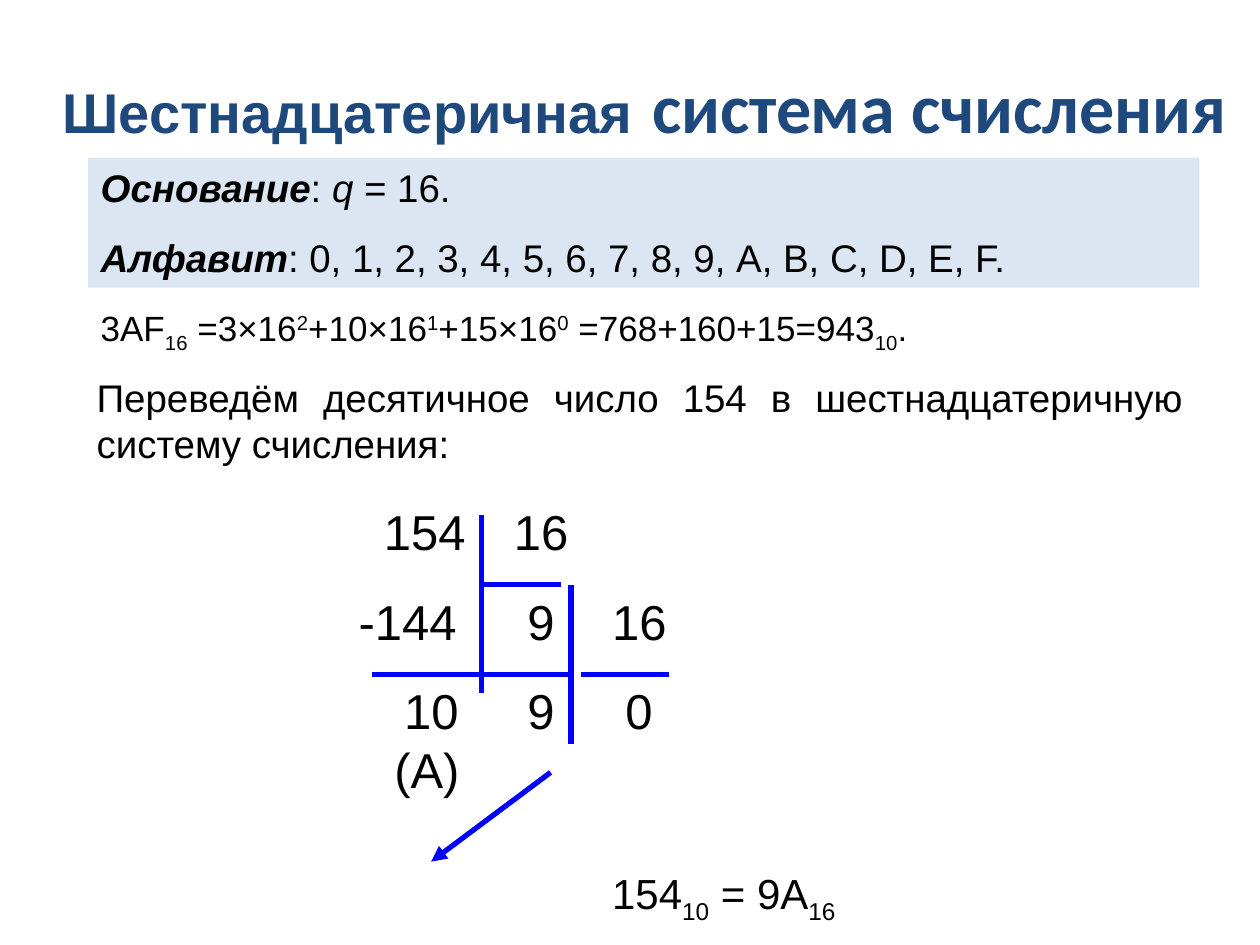
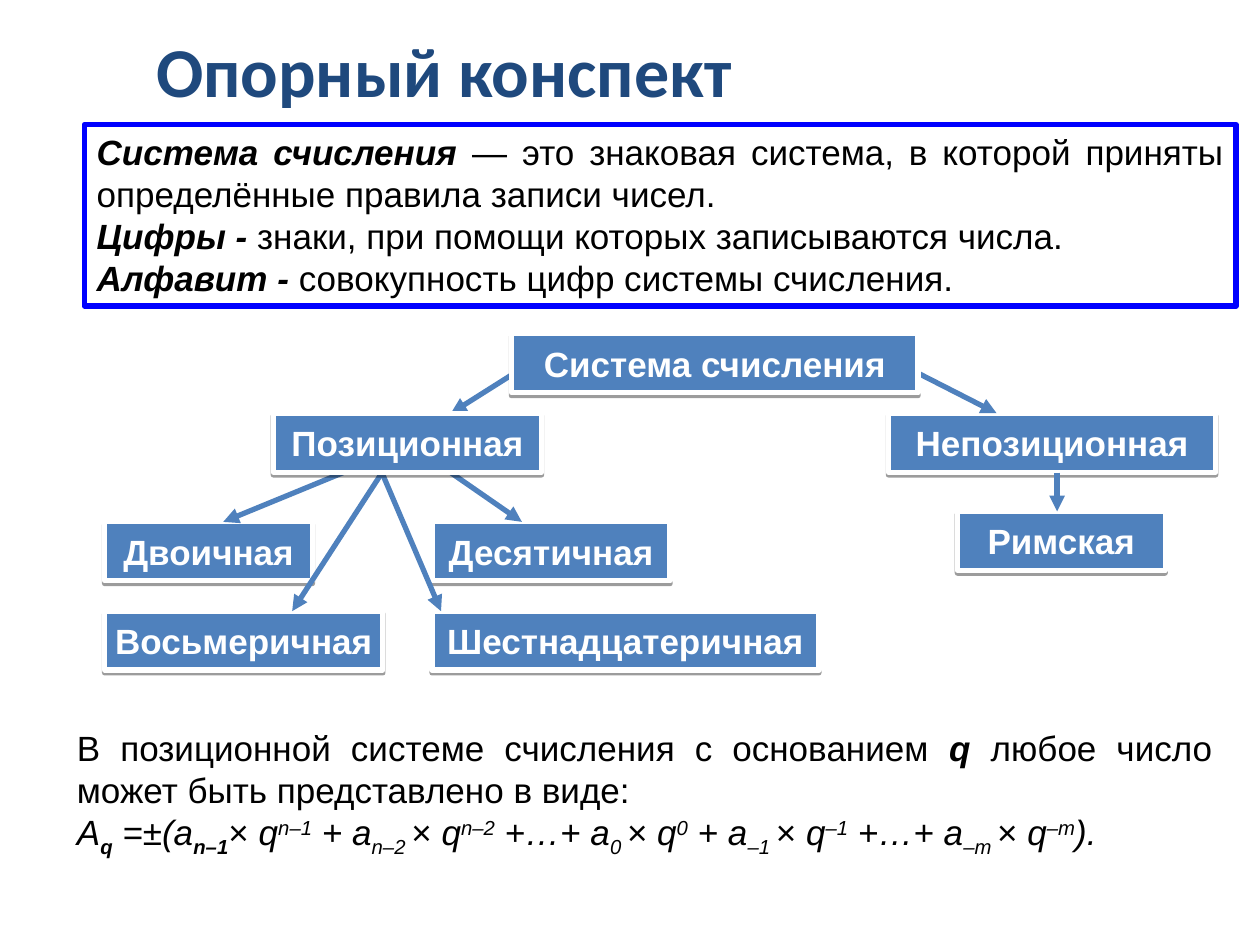
import dataclasses
from typing import Any, NamedTuple, Optional, Sequence

import pptx
import pptx.dml.color
import pptx.enum.dml
import pptx.enum.shapes
import pptx.enum.text
import pptx.oxml
import pptx.oxml.ns
import pptx.util

Cm = pptx.util.Cm
Pt = pptx.util.Pt
ALIGN = pptx.enum.text.PP_ALIGN
ANCHOR = pptx.enum.text.MSO_ANCHOR

COLORS = {
    "title": "1F497D",
    "text": "000000",
    "white": "FFFFFF",
    "panel": "DCE6F2",
    "node": "4F81BD",
    "rule": "0000FF",
    "shadow": "000000",
}
LINE_WIDTH = Pt(3)
NODE_HEIGHT = 1.19
BASELINES = {"_": "-25000", "^": "30000"}
DRAWING_NS = pptx.oxml.ns.nsdecls("a")


class Frame(NamedTuple):
    """Left, top, width and height in centimetres."""
    left: float
    top: float
    width: float
    height: float


class Run(NamedTuple):
    """Text with marks: b bold, i italic, _ subscript, ^ superscript."""
    text: str
    marks: str = ""
    size: Optional[float] = None
    font: Optional[str] = None


class Paragraph(NamedTuple):
    runs: Sequence[Run]
    align: Any = ALIGN.LEFT
    space_before: float = 0


@dataclasses.dataclass(frozen=True)
class TextStyle:
    size: float
    color: str = "text"
    font: str = "Arial"
    bold: bool = False
    anchor: Any = ANCHOR.TOP
    wrap: bool = True


@dataclasses.dataclass(frozen=True)
class Line:
    """Straight line in centimetres; an arrow points to its end."""
    start: tuple[float, float]
    end: tuple[float, float]
    color: str = "rule"
    arrow: bool = False


@dataclasses.dataclass(frozen=True)
class Node:
    text: str
    left: float
    top: float
    width: float


TITLE = TextStyle(40, "title", "Calibri", bold=True, anchor=ANCHOR.MIDDLE)
BODY = TextStyle(22)
SMALL_BODY = TextStyle(20)
DIGITS = TextStyle(28)
RESULT = TextStyle(24)
NODE = TextStyle(20, "white", bold=True, anchor=ANCHOR.MIDDLE, wrap=False)

# Long division: row tops, column lefts and the numbers in each row
ROWS = (9.98, 11.79, 13.59, 14.78)
DIVISION = (
    (("154", 7.49), ("16", 10.11)),
    (("-144", 6.98), ("9", 10.38), ("16", 12.09)),
    (("10", 7.9), ("9", 10.38), ("0", 12.36)),
    (("(А)", 7.7),),
)
DIVISION_LINES = (
    Line((9.7, 11.79), (11.3, 11.79)),
    Line((7.49, 13.59), (11.51, 13.59)),
    Line((11.71, 13.59), (13.49, 13.59)),
    Line((9.7, 10.39), (9.7, 13.97)),
    Line((11.51, 11.79), (11.51, 14.99)),
    Line((11.1, 15.57), (8.69, 17.37), arrow=True),
)


def branch(start: tuple[float, float], end: tuple[float, float]) -> Line:
    return Line(start, end, "node", arrow=True)


# Classification scheme, from back to front
SCHEME = (
    Node("Непозиционная", 17.91, 8.33, 6.6),
    branch((10.69, 7.32), (9.09, 8.33)),
    branch((18.11, 7.32), (20.09, 8.33)),
    Node("Система счисления", 10.31, 6.73, 8.2),
    Node("Двоичная", 2.11, 10.52, 4.19),
    Node("Десятичная", 8.71, 10.52, 4.8),
    Node("Восьмеричная", 2.11, 12.32, 5.61),
    Node("Шестнадцатеричная", 8.71, 12.32, 7.8),
    Node("Римская", 19.3, 10.31, 4.19),
    branch((6.91, 9.53), (4.5, 10.52)),
    branch((9.09, 9.53), (10.52, 10.52)),
    branch((7.7, 9.53), (5.89, 12.32)),
    branch((7.7, 9.53), (8.89, 12.32)),
    Node("Позиционная", 5.51, 8.33, 5.41),
    branch((21.31, 9.53), (21.31, 10.31)),
)


def rgb(name: str) -> pptx.dml.color.RGBColor:
    return pptx.dml.color.RGBColor.from_string(COLORS[name])


def set_values(target: Any, values: dict[str, Any]) -> None:
    for name, value in values.items():
        setattr(target, name, value)


def write_text(shape: Any, paragraphs: Sequence[Paragraph], style: TextStyle) -> None:
    text_frame = shape.text_frame
    set_values(text_frame, {
        "word_wrap": style.wrap,
        "vertical_anchor": style.anchor,
        "auto_size": pptx.enum.text.MSO_AUTO_SIZE.NONE,
    })
    for index, content in enumerate(paragraphs):
        paragraph = text_frame.add_paragraph() if index else text_frame.paragraphs[0]
        set_values(paragraph, {
            "alignment": content.align,
            "space_before": Pt(content.space_before),
        })
        for part in content.runs:
            run = paragraph.add_run()
            run.text = part.text
            set_values(run.font, {
                "size": Pt(part.size or style.size),
                "name": part.font or style.font,
                "bold": style.bold or "b" in part.marks,
                "italic": "i" in part.marks,
            })
            run.font.color.rgb = rgb(style.color)
            for mark in BASELINES.keys() & set(part.marks):
                run.font._element.set("baseline", BASELINES[mark])


def add_text(slide: Any, frame: Frame, style: TextStyle, *paragraphs: Paragraph) -> None:
    box = slide.shapes.add_textbox(*map(Cm, frame))
    write_text(box, paragraphs, style)


def add_rectangle(slide: Any, frame: Frame, style: TextStyle, *paragraphs: Paragraph,
                  fill: Optional[str] = None, outline: Optional[str] = None) -> Any:
    shape = slide.shapes.add_shape(
        pptx.enum.shapes.MSO_SHAPE.RECTANGLE, *map(Cm, frame))
    shape.shadow.inherit = False
    for color, format_fill in ((fill, shape.fill), (outline, shape.line.fill)):
        if color:
            format_fill.solid()
            format_fill.fore_color.rgb = rgb(color)
        else:
            format_fill.background()
    if outline:
        shape.line.width = LINE_WIDTH
    write_text(shape, paragraphs, style)
    return shape


def add_line(slide: Any, line: Line) -> None:
    connector = slide.shapes.add_connector(
        pptx.enum.shapes.MSO_CONNECTOR.STRAIGHT, *map(Cm, line.start + line.end))
    connector.line.color.rgb = rgb(line.color)
    connector.line.width = LINE_WIDTH
    if line.arrow:
        connector.line._get_or_add_ln().append(
            pptx.oxml.parse_xml(f'<a:tailEnd {DRAWING_NS} type="triangle"/>'))
    connector._element.spPr.append(
        pptx.oxml.parse_xml(f"<a:effectLst {DRAWING_NS}/>"))


def add_node(slide: Any, node: Node) -> None:
    shape = add_rectangle(
        slide, Frame(node.left, node.top, node.width, NODE_HEIGHT), NODE,
        Paragraph([Run(node.text)], ALIGN.CENTER), fill="node", outline="white")
    effects = shape._element.spPr.find(pptx.oxml.ns.qn("a:effectLst"))
    effects.append(pptx.oxml.parse_xml(
        f'<a:outerShdw {DRAWING_NS} blurRad="0" dist="20000" dir="5400000" rotWithShape="0">'
        f'<a:srgbClr val="{COLORS["shadow"]}"><a:alpha val="38000"/></a:srgbClr>'
        "</a:outerShdw>"))


def formula_runs() -> list[Run]:
    """Expanded form of a number in a positional system with base q."""
    runs = [
        Run("A", "i"), Run("q", "bi_"), Run(" =±(a", "i"), Run("n–1", "bi_"),
        Run("×"), Run(" q", "i"), Run("n–1", "i^"),
    ]
    for joint, index in ((" + ", "n–2"), (" +…+ ", "0"), (" + ", "–1"), (" +…+ ", "–m")):
        runs += [
            Run(f"{joint}a", "i"), Run(f"{index} ", "i_"),
            Run("× "), Run("q", "i"), Run(index, "i^"),
        ]
    return runs + [Run(").", "i")]


def build_hexadecimal_slide(slide: Any) -> None:
    add_rectangle(
        slide, Frame(1.78, 3.18, 22.4, 2.62), BODY,
        Paragraph([Run("Основание", "bi"), Run(": "), Run("q", "i"), Run(" = 16.")],
                  ALIGN.JUSTIFY),
        Paragraph([Run("Алфавит", "bi"),
                   Run(": 0, 1, 2, 3, 4, 5, 6, 7, 8, 9, A, B, C, D, E, F.")],
                  ALIGN.JUSTIFY, 13.8),
        fill="panel")
    add_text(
        slide, Frame(0.79, 0.53, 24.41, 3.2), TITLE,
        Paragraph([Run("Шестнадцатеричная", size=32, font="Arial"),
                   Run(" ", font="Arial"), Run("система счисления")], ALIGN.CENTER))
    add_text(
        slide, Frame(1.78, 6.05, 18.64, 1.22), SMALL_BODY,
        Paragraph([Run("3АF"), Run("16", "_"), Run(" =3×16"), Run("2", "^"),
                   Run("+10×16"), Run("1", "^"), Run("+15×16"), Run("0", "^"),
                   Run(" =768+160+15=943"), Run("10", "_"), Run(".")]))
    add_text(
        slide, Frame(1.7, 7.42, 22.4, 2.13), BODY,
        Paragraph([Run("Переведём десятичное число 154 в шестнадцатеричную "
                       "систему счисления:")], ALIGN.JUSTIFY))
    for line in DIVISION_LINES:
        add_line(slide, line)
    for top, numbers in zip(ROWS, DIVISION):
        for number, left in numbers:
            add_text(slide, Frame(left, top, 2.6, 1.45), DIGITS, Paragraph([Run(number)]))
    add_text(
        slide, Frame(12.09, 17.37, 8.99, 1.42), RESULT,
        Paragraph([Run("154"), Run("10", "_"), Run(" = 9А"), Run("16", "_")]))


def build_summary_slide(slide: Any) -> None:
    add_text(slide, Frame(2.9, 0.53, 21.23, 1.75), TITLE,
             Paragraph([Run("Опорный конспект")]))
    definitions = (
        ("Система счисления", " — это знаковая система, в которой приняты "
                              "определённые правила записи чисел."),
        ("Цифры -", " знаки, при помощи которых записываются числа."),
        ("Алфавит - ", "совокупность цифр системы счисления."),
    )
    add_rectangle(
        slide, Frame(1.7, 2.51, 23.22, 3.66), SMALL_BODY,
        *(Paragraph([Run(term, "bi"), Run(meaning)], ALIGN.JUSTIFY)
          for term, meaning in definitions),
        outline="rule")
    for item in SCHEME:
        if isinstance(item, Node):
            add_node(slide, item)
        else:
            add_line(slide, item)
    add_text(
        slide, Frame(1.3, 14.53, 23.39, 2.92), SMALL_BODY,
        Paragraph([Run("В позиционной системе счисления с основанием "), Run("q", "bi"),
                   Run(" любое число может быть представлено в виде:")], ALIGN.JUSTIFY),
        Paragraph(formula_runs()))


def main() -> None:
    presentation = pptx.Presentation()
    set_values(presentation, {"slide_width": Cm(25.4), "slide_height": Cm(19.05)})
    blank_layout = presentation.slide_layouts[6]
    for build in (build_hexadecimal_slide, build_summary_slide):
        build(presentation.slides.add_slide(blank_layout))
    presentation.save("out.pptx")


if __name__ == "__main__":
    main()
